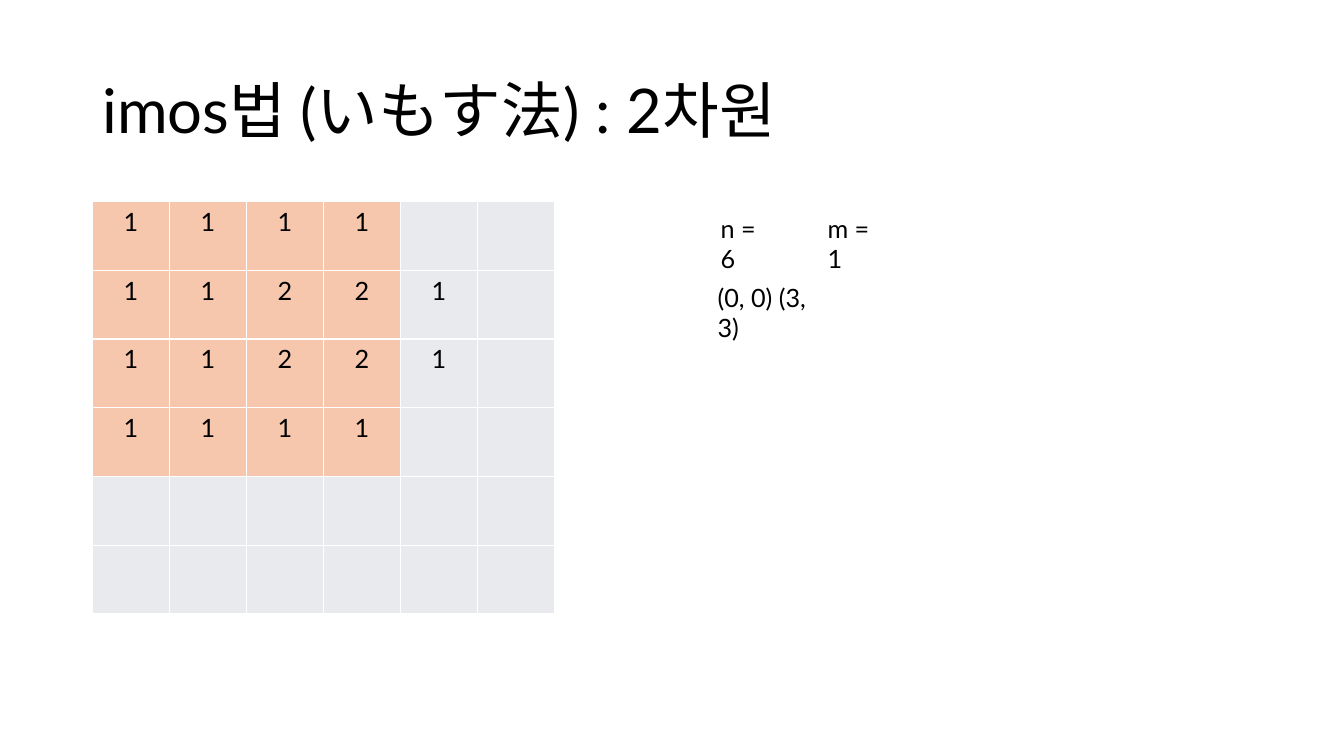
from pptx import Presentation
from pptx.dml.color import RGBColor
from pptx.enum import text
from pptx.util import Pt


def color(value):
    return RGBColor.from_string(value)


def style(para, size, align):
    para.alignment = align
    for span in para.runs:
        span.font.name = "Lato"
        span.font.size = Pt(size)
        span.font.color.rgb = color("000000")


deck = Presentation()
deck.slide_width, deck.slide_height = Pt(960), Pt(540)
page = deck.slides.add_slide(deck.slide_layouts[5])

# Title
title = page.shapes.title
title.left, title.top, title.width, title.height = Pt(66), Pt(28.75), Pt(828), Pt(104.4)
frame = title.text_frame
frame.text = "imos법 (いもす法) : 2차원"
frame.vertical_anchor = text.MSO_ANCHOR.MIDDLE
frame.word_wrap = True
frame.paragraphs[0].line_spacing = 0.9
style(frame.paragraphs[0], 44, text.PP_ALIGN.LEFT)

# Grid of overlap counts, with the first rectangle highlighted
size = 6
counts = ["1111", "11221", "11221", "1111", "", ""]
grid = page.shapes.add_table(size, size, Pt(66), Pt(144), Pt(330), Pt(294.6)).table
grid.first_row = False
grid.horz_banding = False
for row in range(size):
    grid.rows[row].height = Pt(49.1)
    grid.columns[row].width = Pt(55)
    for column in range(size):
        cell = grid.cell(row, column)
        cell.fill.solid()
        inside = row <= 3 and column <= 3
        cell.fill.fore_color.rgb = color("F6C6AD" if inside else "E8EAED")
        cell.text = counts[row][column:column + 1]
        style(cell.text_frame.paragraphs[0], 18, text.PP_ALIGN.CENTER)

# Input values
for label, left, top, width in [
    ("n = 6", 507.6, 149, 51),
    ("(0, 0) (3, 3)", 505.5, 198, 95.75),
    ("m = 1", 584, 149, 57),
]:
    box = page.shapes.add_textbox(Pt(left), Pt(top), Pt(width), Pt(29))
    box.text_frame.word_wrap = True
    box.text_frame.text = label
    style(box.text_frame.paragraphs[0], 18, text.PP_ALIGN.LEFT)

deck.save("out.pptx")
